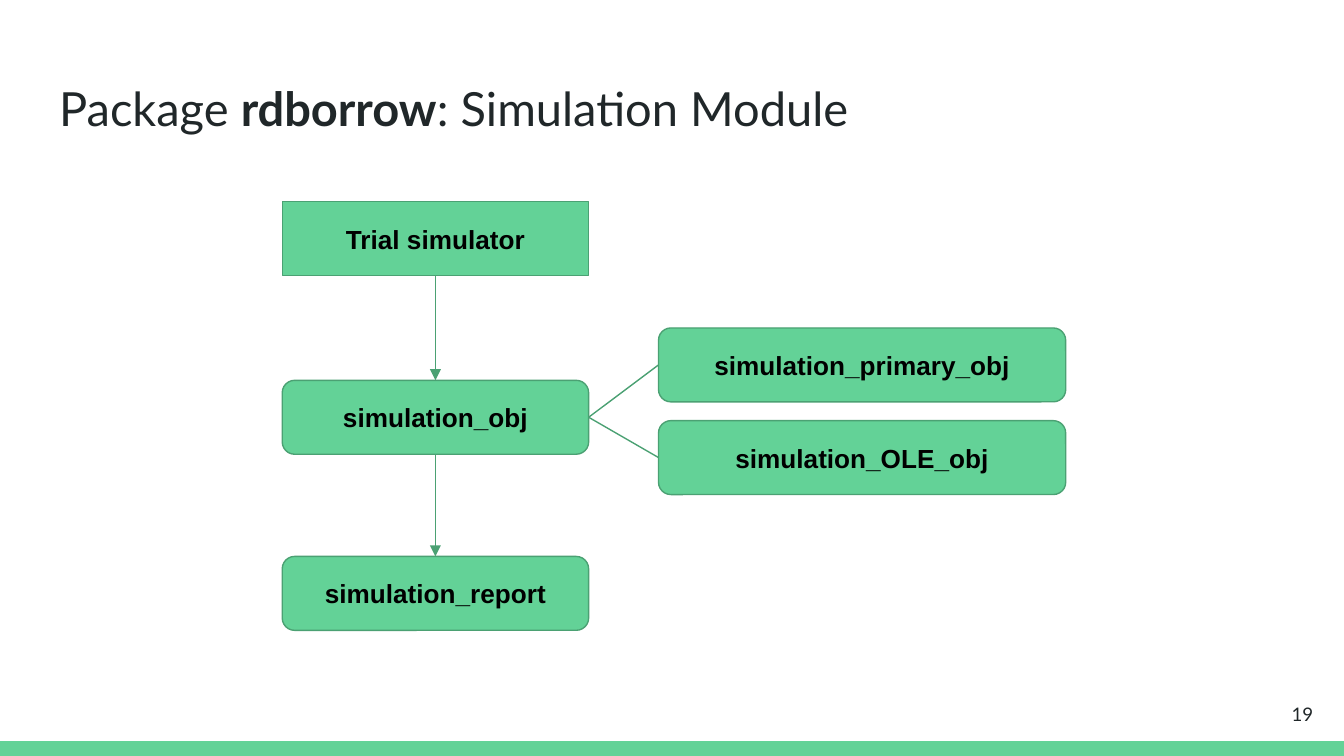
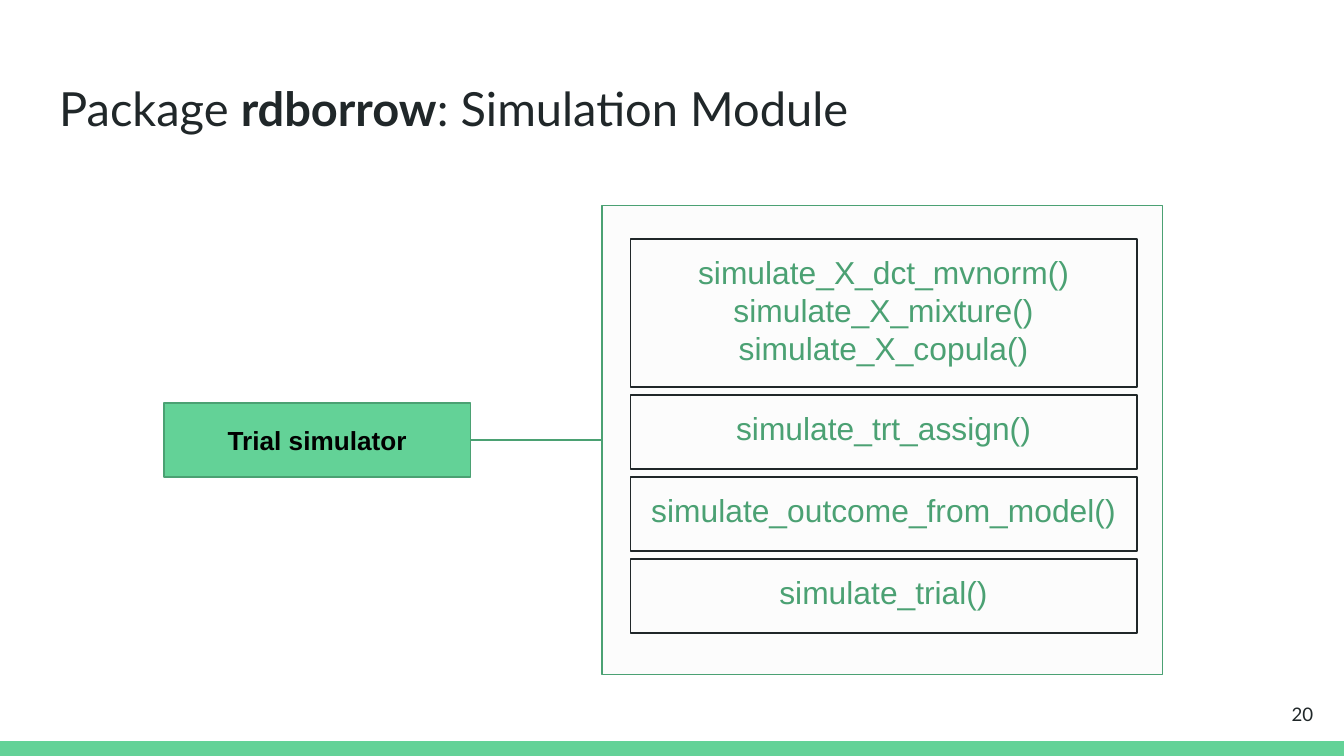
from dataclasses import dataclass

from lxml.etree import SubElement
from pptx import Presentation
from pptx.dml.color import RGBColor
from pptx.enum.shapes import MSO_CONNECTOR, MSO_SHAPE
from pptx.enum.text import MSO_ANCHOR, MSO_AUTO_SIZE, PP_ALIGN
from pptx.oxml.ns import qn
from pptx.util import Inches, Pt

TITLE = [("Package ", False), ("rdborrow", True), (": Simulation Module", False)]
PAGE_NUMBERS = ["19", "20"]

OBJECTS = {
    "Trial simulator": (2.1, 1.5, 2.28, MSO_SHAPE.RECTANGLE),
    "simulation_obj": (2.1, 2.83, 2.28, MSO_SHAPE.ROUNDED_RECTANGLE),
    "simulation_report": (2.1, 4.14, 2.28, MSO_SHAPE.ROUNDED_RECTANGLE),
    "simulation_primary_obj": (4.9, 2.44, 3.03, MSO_SHAPE.ROUNDED_RECTANGLE),
    "simulation_OLE_obj": (4.9, 3.13, 3.03, MSO_SHAPE.ROUNDED_RECTANGLE),
}
STEPS = [
    ("Trial simulator", "simulation_obj"),
    ("simulation_obj", "simulation_report"),
]
BRANCHES = [
    ("simulation_obj", "simulation_primary_obj"),
    ("simulation_obj", "simulation_OLE_obj"),
]

FUNCTION_GROUPS = [
    ["simulate_X_dct_mvnorm()", "simulate_X_mixture()", "simulate_X_copula()"],
    ["simulate_trt_assign()"],
    ["simulate_outcome_from_model()"],
    ["simulate_trial()"],
]

SLIDE_WIDTH = 10
SLIDE_HEIGHT = SLIDE_WIDTH * 9 / 16
BAND_HEIGHT = 0.11
NODE_HEIGHT = 0.55
GROUP_GAP = 0.06
TOP, LEFT, BOTTOM, RIGHT = range(4)


@dataclass(frozen=True)
class Theme:
    green: RGBColor = RGBColor(0x63, 0xD2, 0x97)
    dark_green: RGBColor = RGBColor(0x4B, 0xA1, 0x73)
    ink: RGBColor = RGBColor(0x20, 0x27, 0x29)
    black: RGBColor = RGBColor(0, 0, 0)
    panel: RGBColor = RGBColor(0xFC, 0xFC, 0xFC)
    heading_font: str = "Lato"
    body_font: str = "Arial"
    title_size: float = 25.2
    node_size: float = 14
    function_size: float = 17
    number_size: float = 10
    line_width: float = 0.75


THEME = Theme()


def prepare_frame(shape, anchor):
    frame = shape.text_frame
    frame.word_wrap = True
    frame.auto_size = MSO_AUTO_SIZE.NONE
    frame.vertical_anchor = anchor
    frame.margin_left = frame.margin_right = Inches(0.1)
    frame.margin_top = frame.margin_bottom = Inches(0.1)
    return frame


def style_paragraph(para, font, size, color, align, bold=None):
    para.alignment = align
    para.font.name = font
    para.font.size = Pt(size)
    para.font.color.rgb = color
    para.font.bold = bold


def write_lines(shape, lines, anchor, *style):
    frame = prepare_frame(shape, anchor)
    frame.text = "\n".join(lines)
    for para in frame.paragraphs:
        style_paragraph(para, *style)


def add_box(page, left, top, width, height, fill=None, line=None,
            kind=MSO_SHAPE.RECTANGLE):
    box = page.shapes.add_shape(
        kind, Inches(left), Inches(top), Inches(width), Inches(height))
    box.shadow.inherit = False
    if fill is None:
        box.fill.background()
    else:
        box.fill.solid()
        box.fill.fore_color.rgb = fill
    if line is None:
        box.line.fill.background()
    else:
        box.line.color.rgb = line
        box.line.width = Pt(THEME.line_width)
    return box


def add_node(page, label, left, top, width, kind):
    node = add_box(page, left, top, width, NODE_HEIGHT,
                   THEME.green, THEME.dark_green, kind)
    if kind == MSO_SHAPE.ROUNDED_RECTANGLE:
        node.adjustments[0] = 0.167
    write_lines(node, [label], MSO_ANCHOR.MIDDLE, THEME.body_font,
                THEME.node_size, THEME.black, PP_ALIGN.CENTER, True)
    return node


def join(page, start, start_side, end, end_side, arrow=False):
    link = page.shapes.add_connector(MSO_CONNECTOR.STRAIGHT, 0, 0, 0, 0)
    link.begin_connect(start, start_side)
    link.end_connect(end, end_side)
    link.line.color.rgb = THEME.dark_green
    link.line.width = Pt(THEME.line_width)
    if arrow:
        outline = link._element.spPr.find(qn("a:ln"))
        SubElement(outline, qn("a:tailEnd"), type="triangle")
    SubElement(link._element.spPr, qn("a:effectLst"))


def add_page(deck, number):
    page = deck.slides.add_slide(deck.slide_layouts[5])
    add_box(page, 0, SLIDE_HEIGHT - BAND_HEIGHT, SLIDE_WIDTH, BAND_HEIGHT, THEME.green)

    title = page.shapes.title
    title.left, title.top = Inches(0.34), Inches(0.49)
    title.width, title.height = Inches(9.32), Inches(0.63)
    para = prepare_frame(title, MSO_ANCHOR.TOP).paragraphs[0]
    for text, bold in TITLE:
        span = para.add_run()
        span.text = text
        span.font.bold = bold
    style_paragraph(para, THEME.heading_font, THEME.title_size, THEME.ink, PP_ALIGN.LEFT)

    number_box = page.shapes.add_textbox(
        Inches(9.27), Inches(5.1), Inches(0.6), Inches(0.43))
    write_lines(number_box, [number], MSO_ANCHOR.MIDDLE, THEME.heading_font,
                THEME.number_size, THEME.ink, PP_ALIGN.RIGHT)
    return page


def draw_objects(page):
    nodes = {label: add_node(page, label, *place) for label, place in OBJECTS.items()}
    for start, end in STEPS:
        join(page, nodes[start], BOTTOM, nodes[end], TOP, arrow=True)
    for start, end in BRANCHES:
        join(page, nodes[start], RIGHT, nodes[end], LEFT)


def draw_functions(page):
    panel = add_box(page, 4.48, 1.53, 4.17, 3.49, THEME.panel, THEME.dark_green)
    simulator = add_node(page, "Trial simulator", 1.22, 3, 2.28, MSO_SHAPE.RECTANGLE)
    join(page, simulator, RIGHT, panel, LEFT)
    top = 1.78
    for functions in FUNCTION_GROUPS:
        height = NODE_HEIGHT * (2 if len(functions) > 1 else 1)
        box = add_box(page, 4.69, top, 3.77, height, line=THEME.ink)
        write_lines(box, functions, MSO_ANCHOR.TOP, THEME.body_font,
                    THEME.function_size, THEME.dark_green, PP_ALIGN.CENTER)
        top += height + GROUP_GAP


def main():
    deck = Presentation()
    deck.slide_width, deck.slide_height = Inches(SLIDE_WIDTH), Inches(SLIDE_HEIGHT)
    for number, draw in zip(PAGE_NUMBERS, [draw_objects, draw_functions]):
        draw(add_page(deck, number))
    deck.save("out.pptx")


if __name__ == "__main__":
    main()
